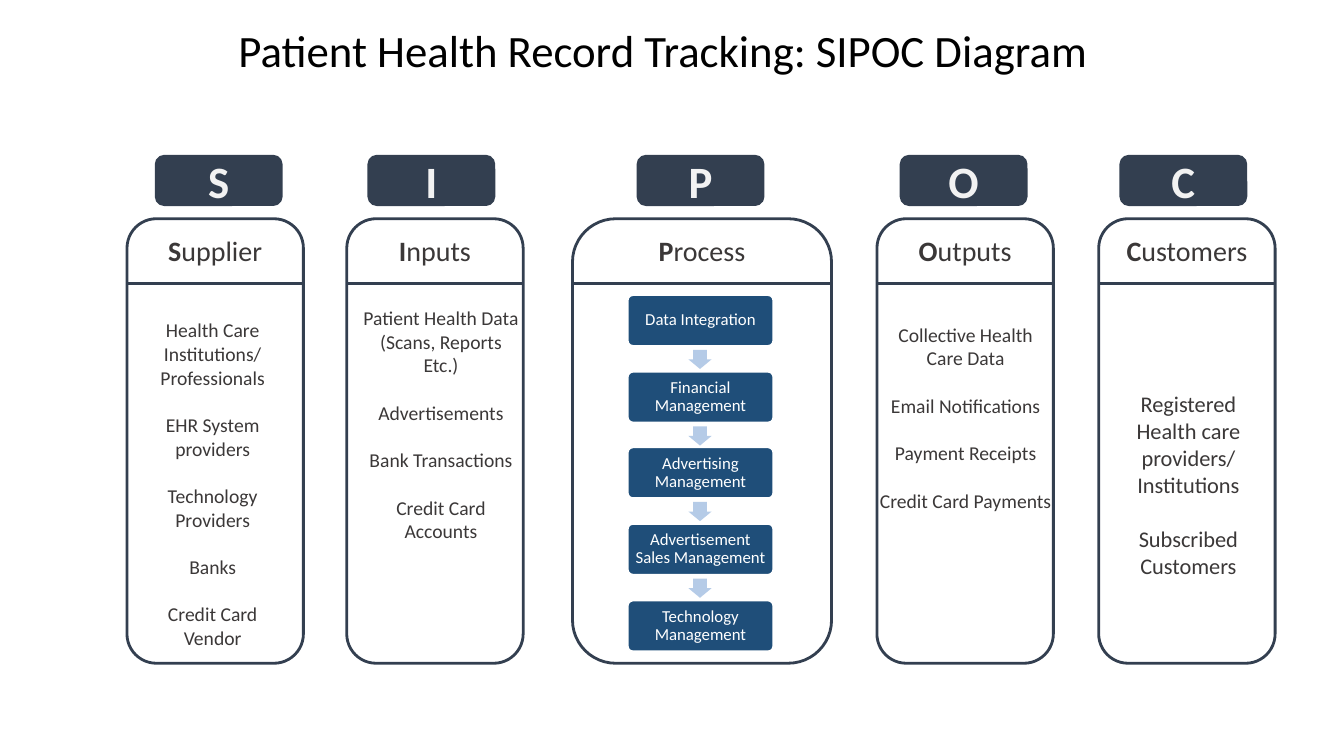
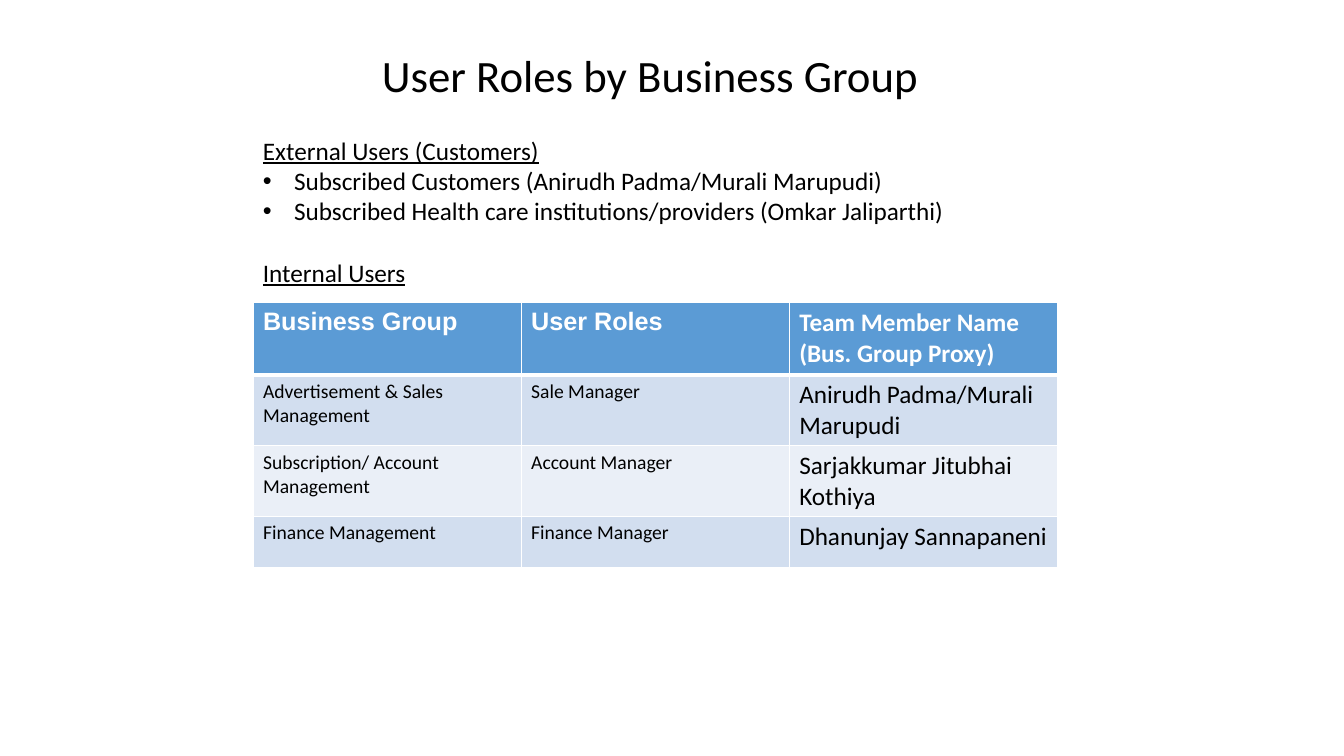
from lxml import etree
from pptx import Presentation
from pptx.dml.color import RGBColor
from pptx.enum.shapes import MSO_CONNECTOR, MSO_SHAPE
from pptx.enum.text import MSO_ANCHOR, PP_ALIGN
from pptx.oxml.ns import qn
from pptx.util import Pt

PX = 9144  # 100 px to the inch
FONT = "Calibri"
BLACK = RGBColor(0x00, 0x00, 0x00)
WHITE = RGBColor(0xFF, 0xFF, 0xFF)
NAVY = RGBColor(0x33, 0x3F, 0x50)
CHARCOAL = RGBColor(0x3B, 0x38, 0x38)
PALE_GRAY = RGBColor(0xF2, 0xF2, 0xF2)
STEP_BLUE = RGBColor(0x1F, 0x4E, 0x79)
ARROW_BLUE = RGBColor(0xB5, 0xCB, 0xE7)
HEADER_BLUE = RGBColor(0x5B, 0x9B, 0xD5)
BAND_DARK = RGBColor(0xD2, 0xDE, 0xEF)
BAND_LIGHT = RGBColor(0xEA, 0xEF, 0xF7)
CENTER, LEFT = PP_ALIGN.CENTER, PP_ALIGN.LEFT
TOP, MIDDLE, BOTTOM = MSO_ANCHOR.TOP, MSO_ANCHOR.MIDDLE, MSO_ANCHOR.BOTTOM
ROUNDED, DOWN_ARROW = MSO_SHAPE.ROUNDED_RECTANGLE, MSO_SHAPE.DOWN_ARROW
STRAIGHT = MSO_CONNECTOR.STRAIGHT


def write(frame, text, size, color, align=CENTER, anchor=TOP, bold=False,
          spacing=1.0, gap=0, font=FONT):
    """Fill a text frame; gap is the space after each paragraph in points."""
    frame.word_wrap = True
    frame.vertical_anchor = anchor
    frame.text = text
    for paragraph in frame.paragraphs:
        paragraph.alignment = align
        paragraph.line_spacing = spacing
        paragraph.space_after = Pt(gap)
        for run in paragraph.runs:
            run.font.name = font
            run.font.size = Pt(size)
            run.font.bold = bold
            run.font.color.rgb = color
    return frame


def add_box(slide, kind, left, top, width, height, fill=None, line=None, weight=2):
    """Add a preset shape, or a text box when kind is None."""
    place = [v * PX for v in (left, top, width, height)]
    if kind is None:
        return slide.shapes.add_textbox(*place)
    shape = slide.shapes.add_shape(kind, *place)
    shape.shadow.inherit = False
    if fill is None:
        shape.fill.background()
    else:
        shape.fill.solid()
        shape.fill.fore_color.rgb = fill
    if line is None:
        shape.line.fill.background()
    else:
        shape.line.color.rgb = line
        shape.line.width = Pt(weight)
    return shape


prs = Presentation()
prs.slide_width, prs.slide_height = 12192000, 750 * PX

# Slides and their titles
slides = []
for title, left, top in [
    ("Patient Health Record Tracking: SIPOC Diagram", 182, 22),
    ("User Roles by Business Group", 169, 47),
]:
    slide = prs.slides.add_slide(prs.slide_layouts[6])
    write(add_box(slide, None, left, top, 952, 58).text_frame, title, 32, BLACK,
          anchor=BOTTOM, spacing=0.8)
    slides.append(slide)
sipoc, roles = slides

# SIPOC columns: heading, left, width, badge left, item box, item size, items
COLUMN_TOP, COLUMN_HEIGHT, RULE_Y = 217, 441, 281
columns = [
    ("Supplier", 126, 175, 155, (135, 311, 152, 340), 14,
     ["Health Care Institutions/\vProfessionals", "EHR System providers",
      "Technology Providers", "Banks", "Credit Card Vendor"]),
    ("Inputs", 344, 175, 366, (350, 299, 175, 246), 14,
     ["Patient Health Data (Scans, Reports Etc.)", "Advertisements",
      "Bank Transactions", "Credit Card Accounts"]),
    ("Process", 568, 257, 633, None, 0, []),
    ("Outputs", 870, 175, 894, (863, 315, 190, 222), 14,
     ["Collective Health Care Data", "Email Notifications",
      "Payment Receipts", "Credit Card Payments"]),
    ("Customers", 1090, 175, 1112, (1115, 382, 128, 199), 16,
     ["Registered Health care providers/ Institutions", "Subscribed Customers"]),
]
for heading, left, width, badge_left, item_box, size, items in columns:
    add_box(sipoc, ROUNDED, left, COLUMN_TOP, width, COLUMN_HEIGHT, line=NAVY)
    rule = sipoc.shapes.add_connector(
        STRAIGHT, left * PX, RULE_Y * PX, (left + width) * PX, RULE_Y * PX)
    rule.line.color.rgb = NAVY
    rule.line.width = Pt(2)
    etree.SubElement(rule.element.spPr, qn("a:effectLst"))

    # Heading with a bold initial
    frame = write(add_box(sipoc, None, left, 227, width, 44).text_frame,
                  heading[0], 20, CHARCOAL, bold=True)
    rest = frame.paragraphs[0].add_run()
    rest.text = heading[1:]
    rest.font.name, rest.font.size = FONT, Pt(20)
    rest.font.color.rgb = CHARCOAL

    badge = add_box(sipoc, ROUNDED, badge_left, 155, 124, 48, NAVY, NAVY)
    badge.text_frame.margin_top = badge.text_frame.margin_bottom = 0
    write(badge.text_frame, heading[0], 32, PALE_GRAY, anchor=MIDDLE, bold=True)

    # Items, one empty line apart
    if items:
        write(add_box(sipoc, None, *item_box).text_frame, "\n".join(items),
              size, CHARCOAL, gap=round(size * 1.22, 1))

# Process steps
steps = ["Data Integration", "Financial Management", "Advertising Management",
         "Advertisement Sales Management", "Technology Management"]
for i, step in enumerate(steps):
    top = round(293 + 75.75 * i)
    box = add_box(sipoc, ROUNDED, 623, top, 144, 50, STEP_BLUE, WHITE, 1)
    box.adjustments[0] = 0.1
    frame = write(box.text_frame, step, 12, WHITE, anchor=MIDDLE, spacing=0.9)
    frame.margin_left = frame.margin_right = 5 * PX
    frame.margin_top = frame.margin_bottom = 5 * PX
    if i < len(steps) - 1:
        arrow = add_box(sipoc, DOWN_ARROW, 683, top + 54, 23, 19, ARROW_BLUE)
        arrow.adjustments[0], arrow.adjustments[1] = 0.6, 0.5

# User lists: the first paragraph is an underlined heading, the rest are bullets
INDENT = 31 * PX
for top, height, lines in [
    (129, 101, ["External Users (Customers)",
                "Subscribed Customers (Anirudh Padma/Murali Marupudi)",
                "Subscribed Health care institutions/providers (Omkar Jaliparthi)"]),
    (250, 40, ["Internal Users"]),
]:
    frame = write(add_box(roles, None, 251, top, 760, height).text_frame,
                  "\n".join(lines), 18, BLACK, LEFT)
    frame.paragraphs[0].runs[0].font.underline = True
    for paragraph in frame.paragraphs[1:]:
        props = paragraph.runs[0].font and paragraph._p.get_or_add_pPr()
        props.set("marL", str(INDENT))
        props.set("indent", str(-INDENT))
        etree.SubElement(props, qn("a:buFont"), typeface="Arial")
        etree.SubElement(props, qn("a:buChar"), char="•")

# Role table
rows = [
    ("Business Group", "User Roles", "Team Member Name\n(Bus. Group Proxy)"),
    ("Advertisement & Sales Management", "Sale Manager",
     "Anirudh Padma/Murali Marupudi"),
    ("Subscription/ Account Management", "Account Manager",
     "Sarjakkumar Jitubhai Kothiya"),
    ("Finance Management", "Finance Manager", "Dhanunjay Sannapaneni"),
]
row_heights = [72, 70, 70, 51]
table = roles.shapes.add_table(len(rows), 3, 251 * PX, 300 * PX, 798 * PX,
                               sum(row_heights) * PX).table
for column in table.columns:
    column.width = 266 * PX
for r, row in enumerate(rows):
    table.rows[r].height = row_heights[r] * PX
    for c, text in enumerate(row):
        cell = table.cell(r, c)
        header, member = r == 0, c == 2
        write(cell.text_frame, text, 18 if header or member else 14,
              WHITE if header else BLACK, LEFT, bold=header,
              font="Arial" if header and not member else FONT)

        # White borders, thicker below the header
        props = cell._tc.get_or_add_tcPr()
        for side in ("lnL", "lnR", "lnT", "lnB"):
            thick = (r, side) in [(0, "lnB"), (1, "lnT")]
            border = etree.SubElement(props, qn("a:" + side),
                                      w=str(Pt(3 if thick else 1)))
            paint = etree.SubElement(border, qn("a:solidFill"))
            etree.SubElement(paint, qn("a:srgbClr"), val=str(WHITE))
        cell.fill.solid()
        cell.fill.fore_color.rgb = (
            HEADER_BLUE if header else BAND_DARK if r % 2 else BAND_LIGHT)

prs.save("out.pptx")
